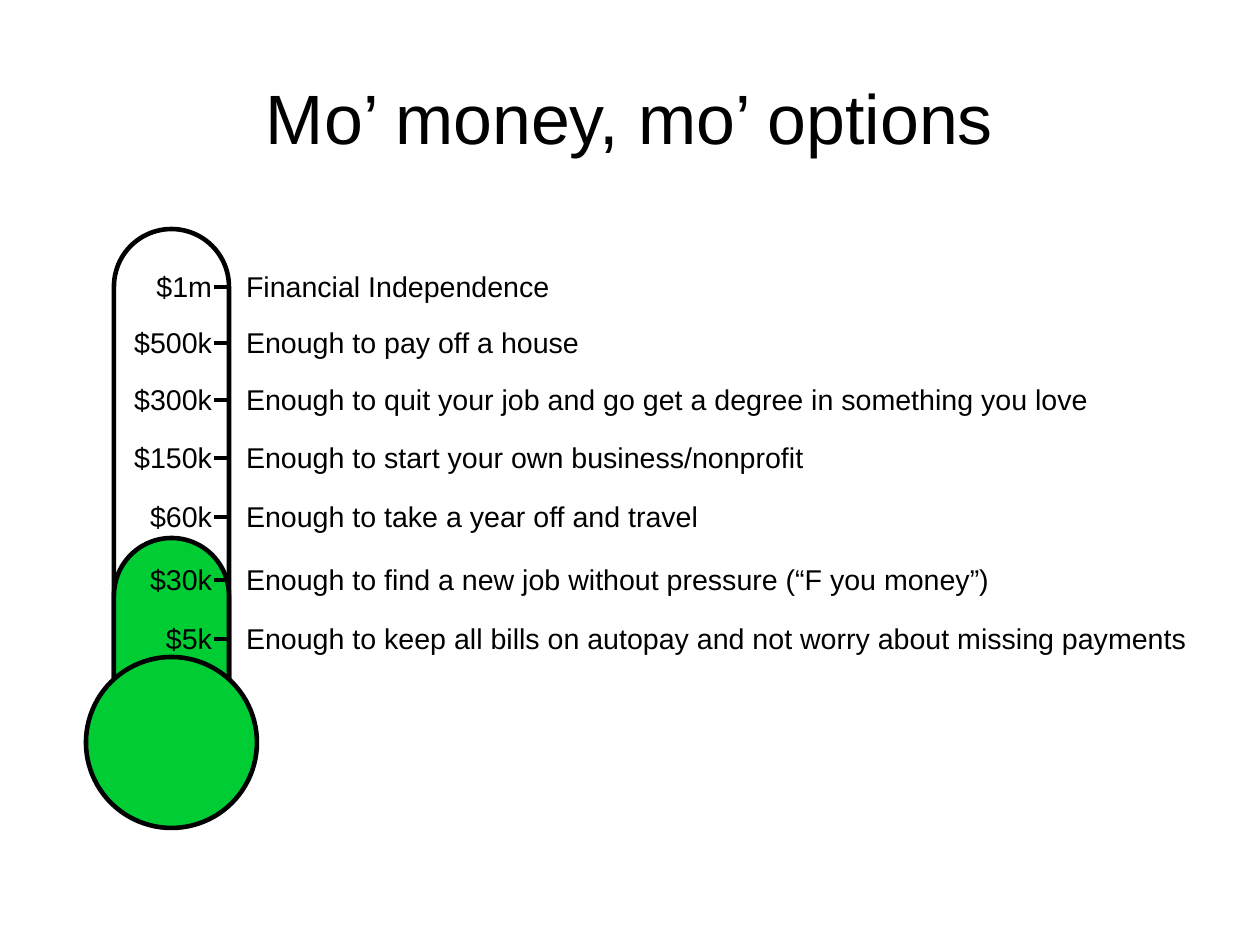
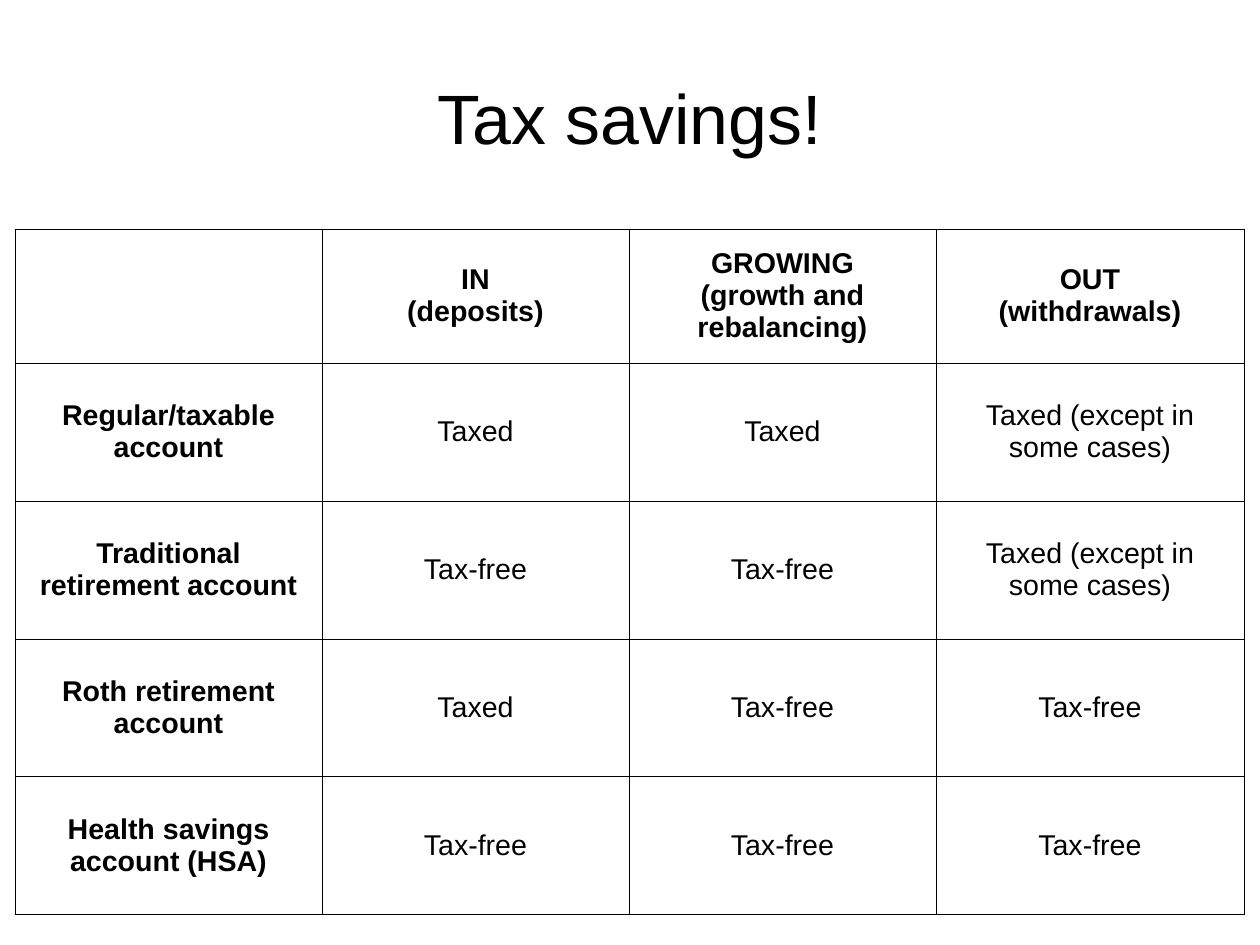
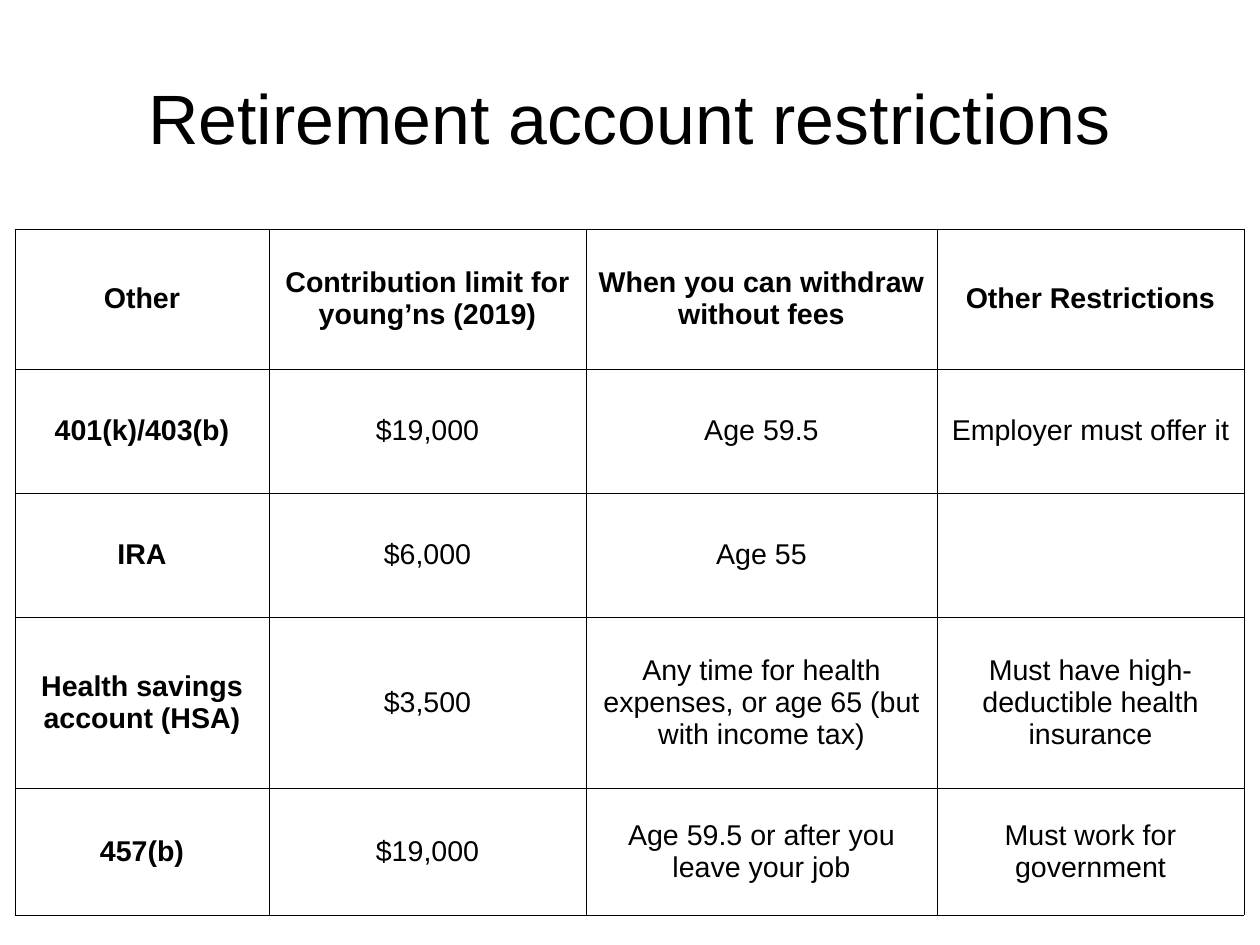
from pptx import Presentation
from pptx.dml.color import RGBColor
from pptx.enum.shapes import MSO_CONNECTOR, MSO_SHAPE
from pptx.enum.text import MSO_ANCHOR, PP_ALIGN
from pptx.oxml import parse_xml
from pptx.oxml.ns import nsdecls
from pptx.util import Emu, Pt

LEFT, CENTER, RIGHT = PP_ALIGN.LEFT, PP_ALIGN.CENTER, PP_ALIGN.RIGHT
TOP, MIDDLE = MSO_ANCHOR.TOP, MSO_ANCHOR.MIDDLE
PILL, OVAL = MSO_SHAPE.ROUNDED_RECTANGLE, MSO_SHAPE.OVAL
STRAIGHT = MSO_CONNECTOR.STRAIGHT

# Shared style; the slide is 1260 by 945 px (280 by 210 mm)
SCALE = 8000
FONT = "Arial"
BLACK, WHITE, GREEN = "000000", "FFFFFF", "00CC33"
TITLE_SIZE, BODY_SIZE = 44, 18
LINE_WIDTH, BORDER_WIDTH = 2.89, 0.57

# Tick height, amount, what it buys, width of that text
GOALS = [
    (287, "$1m", "Financial Independence", 914),
    (343, "$500k", "Enough to pay off a house", 914),
    (400, "$300k", "Enough to quit your job and go get a degree in something you love", 914),
    (458, "$150k", "Enough to start your own business/nonprofit", 914),
    (517, "$60k", "Enough to take a year off and travel", 914),
    (580, "$30k", "Enough to find a new job without pressure (“F you money”)", 914),
    (639, "$5k",
     "Enough to keep all bills on autopay and not worry about missing payments", 1031),
]

TAX_ROWS = [
    ["", "IN\n(deposits)", "GROWING\n(growth and rebalancing)", "OUT\n(withdrawals)"],
    ["Regular/taxable account", "Taxed", "Taxed", "Taxed (except in some cases)"],
    ["Traditional retirement account", "Tax-free", "Tax-free",
     "Taxed (except in some cases)"],
    ["Roth retirement account", "Taxed", "Tax-free", "Tax-free"],
    ["Health savings account (HSA)", "Tax-free", "Tax-free", "Tax-free"],
]

RESTRICTION_ROWS = [
    ["Other", "Contribution limit for young’ns (2019)",
     "When you can withdraw without fees", "Other Restrictions"],
    ["401(k)/403(b)", "$19,000", "Age 59.5", "Employer must offer it"],
    ["IRA", "$6,000", "Age 55", ""],
    ["Health savings account (HSA)", "$3,500",
     "Any time for health expenses, or age 65 (but with income tax)",
     "Must have high-deductible health insurance"],
    ["457(b)", "$19,000", "Age 59.5 or after you leave your job",
     "Must work for government"],
]


def px(n):
    return Emu(n * SCALE)


def color(hex_string):
    return RGBColor.from_string(hex_string)


def write(tf, text, size, align, bold=False):
    for i, line in enumerate(text.split("\n")):
        p = tf.paragraphs[0] if i == 0 else tf.add_paragraph()
        p.alignment = align
        r = p.add_run()
        r.text = line
        r.font.name, r.font.size, r.font.bold = FONT, Pt(size), bold
        r.font.color.rgb = color(BLACK)


def add_text(s, box, text, size=BODY_SIZE, align=LEFT, anchor=TOP, margins=(17, 11)):
    tf = s.shapes.add_textbox(*map(px, box)).text_frame
    tf.word_wrap = True
    tf.vertical_anchor = anchor
    tf.margin_left = tf.margin_right = px(margins[0])
    tf.margin_top = tf.margin_bottom = px(margins[1])
    write(tf, text, size, align)


def add_outlined(s, kind, box, fill):
    sp = s.shapes.add_shape(kind, *map(px, box))
    sp.shadow.inherit = False
    sp.fill.solid()
    sp.fill.fore_color.rgb = color(fill)
    sp.line.color.rgb = color(BLACK)
    sp.line.width = Pt(LINE_WIDTH)
    return sp


def add_pill(s, box, fill):
    add_outlined(s, PILL, box, fill).adjustments[0] = 0.5


def add_tick(s, x1, x2, y):
    line = s.shapes.add_connector(STRAIGHT, px(x1), px(y), px(x2), px(y))
    line.line.color.rgb = color(BLACK)
    line.line.width = Pt(LINE_WIDTH)
    line._element.spPr.append(parse_xml(f"<a:effectLst {nsdecls('a')}/>"))


def add_borders(cell):
    tc_pr = cell._tc.get_or_add_tcPr()
    for side in ("lnL", "lnR", "lnT", "lnB"):
        tc_pr.append(parse_xml(
            f'<a:{side} {nsdecls("a")} w="{Pt(BORDER_WIDTH)}"><a:solidFill>'
            f'<a:srgbClr val="{BLACK}"/></a:solidFill></a:{side}>'))


def add_grid(s, rows, widths, heights):
    """Table whose first row and first column are bold."""
    table = s.shapes.add_table(len(rows), len(widths), px(15), px(229),
                               px(sum(widths)), px(sum(heights))).table
    table.first_row = table.horz_banding = False
    for column, width in zip(table.columns, widths):
        column.width = px(width)
    for i, (row, height) in enumerate(zip(rows, heights)):
        table.rows[i].height = px(height)
        for j, text in enumerate(row):
            cell = table.cell(i, j)
            add_borders(cell)
            cell.fill.background()
            cell.vertical_anchor = MIDDLE
            if text:
                write(cell.text_frame, text, BODY_SIZE, CENTER, i == 0 or j == 0)


def add_slide(prs, title):
    s = prs.slides.add_slide(prs.slide_layouts[6])
    add_text(s, (63, 38, 1134, 158), title, TITLE_SIZE, CENTER, MIDDLE, (0, 0))
    return s


def add_thermometer(s):
    # Tube, level and bulb
    add_pill(s, (114, 229, 115, 571), WHITE)
    add_pill(s, (114, 538, 115, 262), GREEN)
    add_outlined(s, OVAL, (86, 657, 171, 171), GREEN)
    # Scale
    for y, amount, meaning, width in GOALS:
        add_tick(s, 214, 229, y)
        add_text(s, (114, y - 29, 115, 55), amount, align=RIGHT)
        add_text(s, (229, y - 29, width, 87), meaning)


def main():
    prs = Presentation()
    prs.slide_width, prs.slide_height = px(1260), px(945)

    add_thermometer(add_slide(prs, "Mo’ money, mo’ options"))
    add_grid(add_slide(prs, "Tax savings!"), TAX_ROWS,
             [307, 307, 307, 308], [134] + [138] * 4)
    add_grid(add_slide(prs, "Retirement account restrictions"), RESTRICTION_ROWS,
             [254, 317, 351, 307], [140, 124, 124, 171, 127])

    prs.save("out.pptx")


if __name__ == "__main__":
    main()
